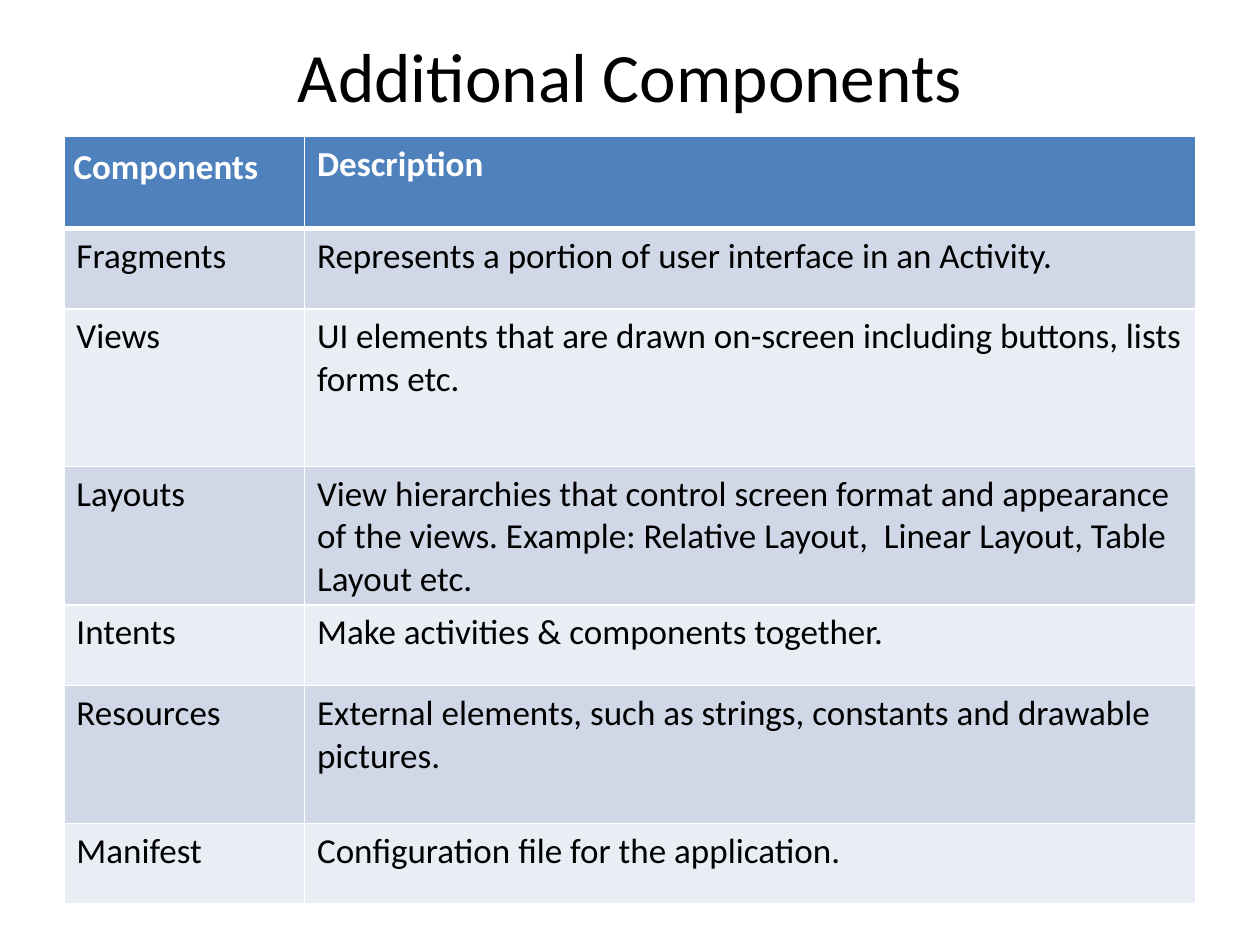
import pptx
import pptx.util
import pptx.dml.color
import pptx.enum.text
import pptx.oxml
import pptx.oxml.ns

Pt = pptx.util.Pt
RGBColor = pptx.dml.color.RGBColor
WHITE = RGBColor(0xFF, 0xFF, 0xFF)
BLACK = RGBColor(0, 0, 0)
HEADER_BLUE = RGBColor(0x4F, 0x81, 0xBD)
BAND_DARK = RGBColor(0xD0, 0xD8, 0xE8)
BAND_LIGHT = RGBColor(0xE9, 0xED, 0xF4)

ROWS = [
    ("Components", "Description", 52.5),
    ("Fragments", "Represents a portion of user interface in an Activity.", 46),
    ("Views", "UI elements that are drawn on-screen including buttons, lists forms etc.", 90),
    ("Layouts", "View hierarchies that control screen format and appearance of the views. "
     "Example: Relative Layout,  Linear Layout, Table Layout etc.", 79),
    ("Intents", "Make activities & components together.", 46),
    ("Resources", "External elements, such as strings, constants and drawable pictures.", 79),
    ("Manifest", "Configuration file for the application.", 46),
]


def format_text(frame, size, color, bold=False):
    for para in frame.paragraphs:
        for span in para.runs:
            span.font.name = "Calibri"
            span.font.size = Pt(size)
            span.font.color.rgb = color
            span.font.bold = bold


def add_borders(cell, widths):
    properties = cell._tc.get_or_add_tcPr()
    for index, (side, width) in enumerate(widths.items()):
        properties.insert(index, pptx.oxml.parse_xml(
            f'<a:ln{side} {pptx.oxml.ns.nsdecls("a")} w="{Pt(width)}">'
            f'<a:solidFill><a:srgbClr val="{WHITE}"/></a:solidFill></a:ln{side}>'))


deck = pptx.Presentation()
deck.slide_width, deck.slide_height = Pt(720), Pt(540)
page = deck.slides.add_slide(deck.slide_layouts[6])

title = page.shapes.add_textbox(Pt(36), Pt(21.6), Pt(648), Pt(90)).text_frame
title.word_wrap = True
title.vertical_anchor = pptx.enum.text.MSO_ANCHOR.MIDDLE
title.margin_top, title.margin_bottom = Pt(0), Pt(48)
title.text = "Additional Components"
title.paragraphs[0].alignment = pptx.enum.text.PP_ALIGN.CENTER
format_text(title, 39.6, BLACK)

total_height = sum(height for _, _, height in ROWS)
table = page.shapes.add_table(
    len(ROWS), 2, Pt(36.5), Pt(78), Pt(647), Pt(total_height)).table
table.columns[0].width = Pt(137.5)
table.columns[1].width = Pt(509.5)

for row, (component, description, height) in enumerate(ROWS):
    table.rows[row].height = Pt(height)
    header = row == 0
    fill = HEADER_BLUE if header else (BAND_DARK if row % 2 else BAND_LIGHT)
    for column, text in enumerate((component, description)):
        cell = table.cell(row, column)
        cell.text = text
        format_text(cell.text_frame, 20, WHITE if header else BLACK, header)
        cell.fill.solid()
        cell.fill.fore_color.rgb = fill
        add_borders(cell, {"L": 1, "R": 1, "T": 3 if row == 1 else 1, "B": 3 if header else 1})

corner = table.cell(0, 0)
corner.margin_left = corner.margin_right = Pt(5.5)
corner.margin_top = corner.margin_bottom = Pt(5.5)

deck.save("out.pptx")
